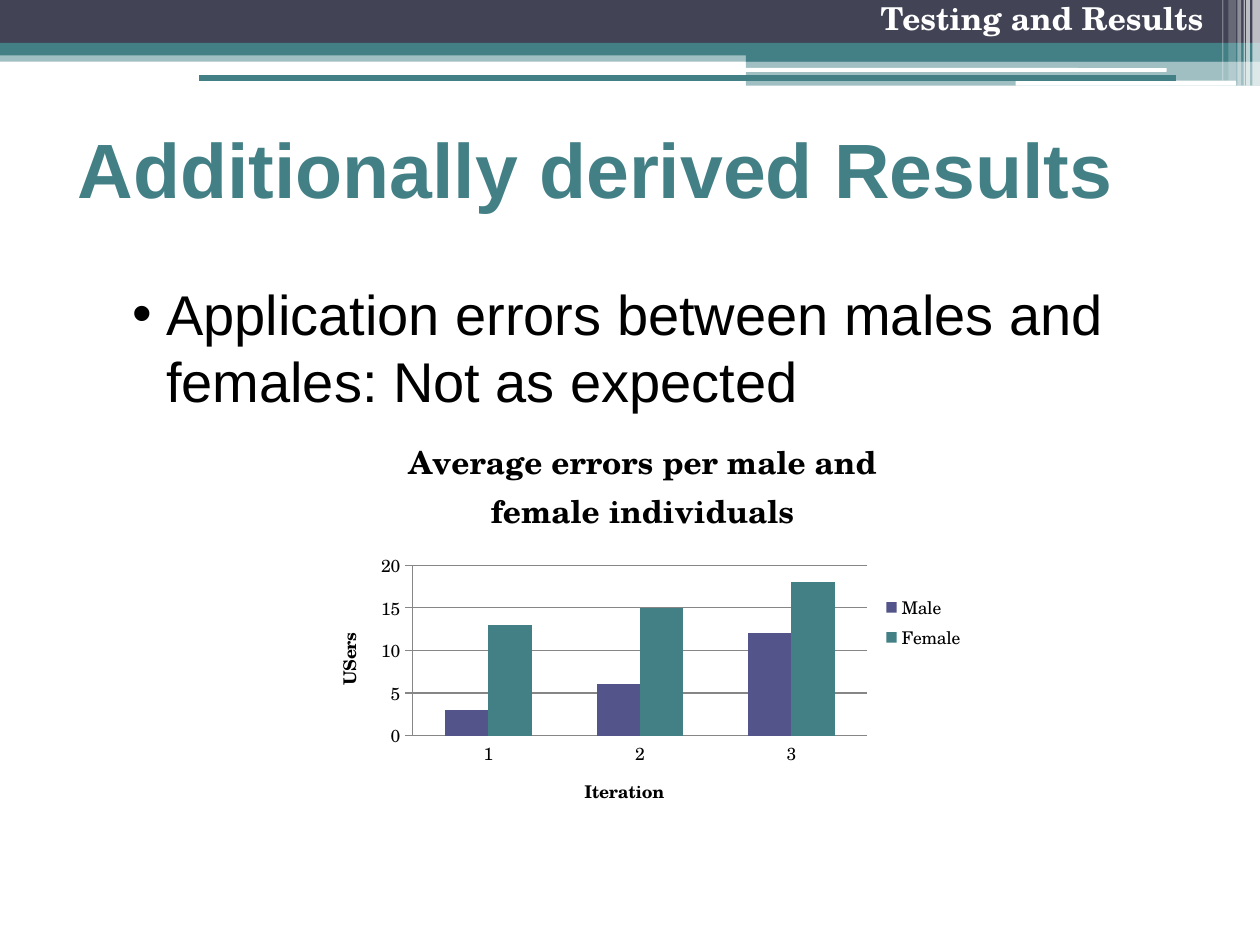
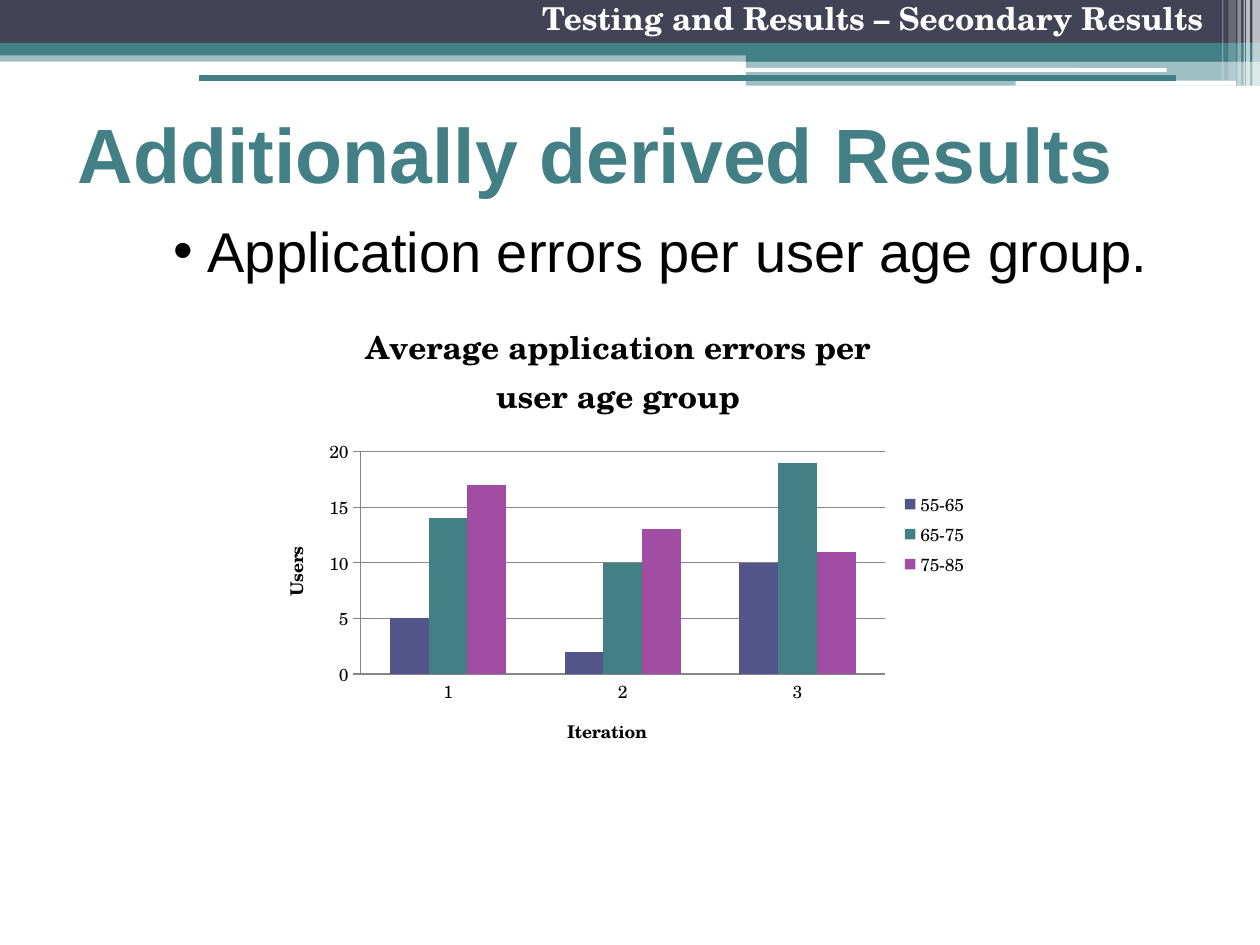
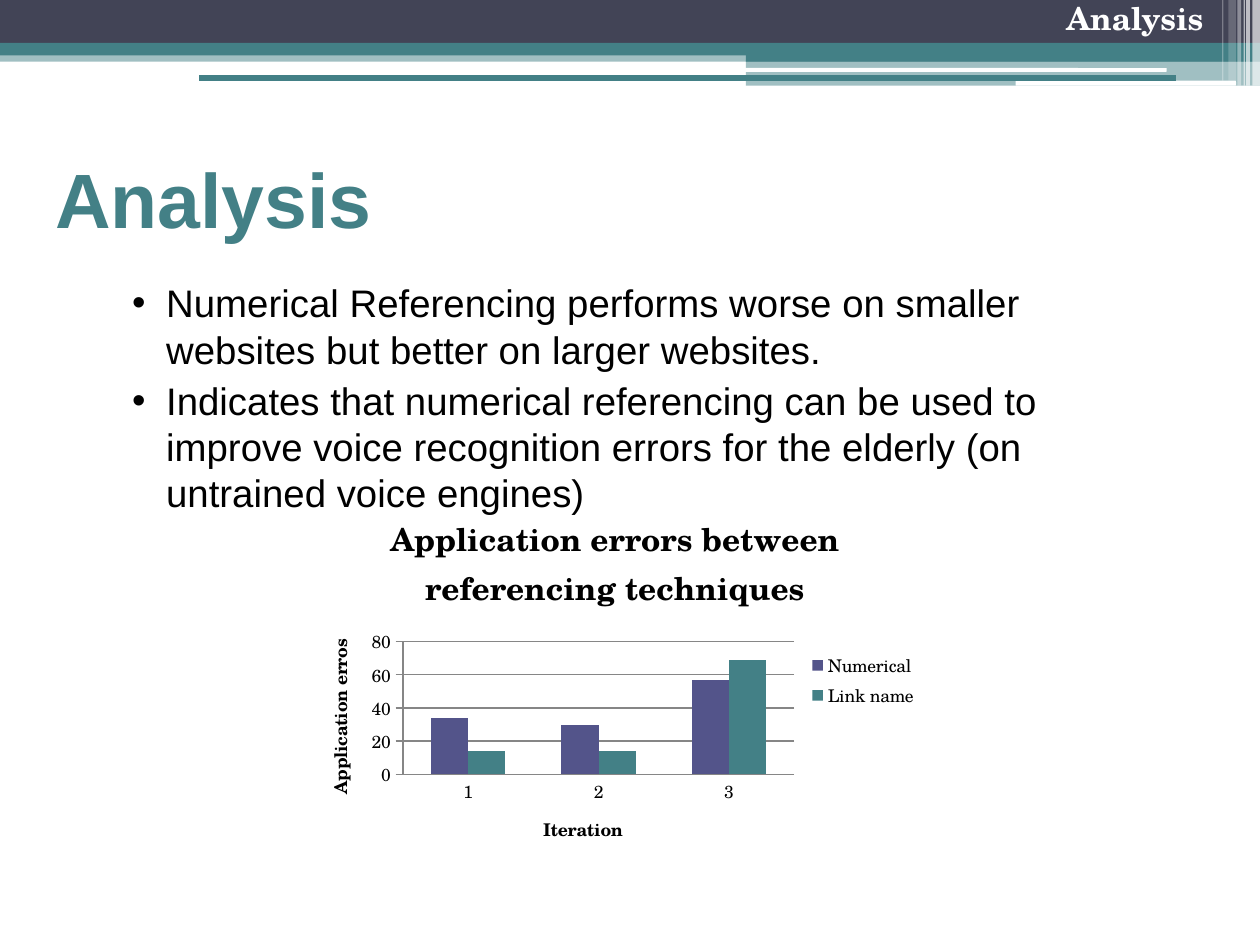
from pptx import Presentation
from pptx.chart.data import CategoryChartData
from pptx.dml.color import RGBColor
from pptx.enum.chart import XL_CHART_TYPE, XL_LEGEND_POSITION, XL_TICK_MARK
from pptx.enum.shapes import MSO_CONNECTOR, MSO_SHAPE
from pptx.enum.text import MSO_ANCHOR, PP_ALIGN
from pptx.oxml.ns import qn
from pptx.util import Inches, Pt
from lxml.etree import SubElement

COLORS = {
    "dark": "424456", "teal": "438086", "white": "FFFFFF", "black": "000000",
    "indigo": "53548A", "purple": "A04DA3", "grid": "868686",
}
SERIES = ["indigo", "teal", "purple"]
SANS, SERIF = "Arial", "TeX Gyre Schola"
FONTS = {
    "header": dict(name=SERIF, size=Pt(18), bold=True, color="white"),
    "title": dict(name=SANS, size=Pt(44), bold=True, color="teal"),
    "body": dict(name=SANS, size=Pt(32), bold=False, color="black"),
    "list": dict(name=SANS, size=Pt(21.9), bold=False, color="black"),
    "chart": dict(name=SERIF, size=Pt(10), bold=False, color="black"),
    "axis": dict(name=SERIF, size=Pt(10), bold=True, color="black"),
    "caption": dict(name=SERIF, size=Pt(18), bold=True, color="black"),
}
# Header bands: left, top, width, height, colour, opacity in percent
BANDS = [
    (0, 0.4, 10, 0.09, "teal", 50),
    (0, 0, 10, 0.34, "dark", 100),
    (0, 0.34, 10, 0.1, "teal", 100),
    (5.92, 0.39, 4.08, 0.1, "teal", 100),
    (5.92, 0.48, 4.08, 0.2, "teal", 50),
]
PILLS = [(5.91, 0.54, 3.35, 0.03), (8.06, 0.64, 1.75, 0.04)]
# Corner stripes: left, width, height, opacity in percent
STRIPES = [
    (9.94, 0.06, 0.68, 65), (9.89, 0.03, 0.68, 65), (9.87, 0.01, 0.68, 60),
    (9.82, 0.03, 0.68, 40), (9.75, 0.06, 0.64, 20), (9.7, 0.01, 0.64, 30),
]


def rgb(name):
    return RGBColor.from_string(COLORS[name])


def put(item, **values):
    for key, value in values.items():
        setattr(item, key, value)


def style(font, kind):
    for key, value in FONTS[kind].items():
        if key == "color":
            font.color.rgb = rgb(value)
        else:
            setattr(font, key, value)


class Deck:
    def __init__(self):
        self.prs = Presentation()
        put(self.prs, slide_width=Inches(10), slide_height=Inches(7.5))
        self.slide = None

    def start(self, header):
        self.slide = self.prs.slides.add_slide(self.prs.slide_layouts[6])
        for *box, color, alpha in BANDS:
            self.block(box, color, alpha)
        for box in PILLS:
            self.block(box, "white", kind=MSO_SHAPE.ROUNDED_RECTANGLE)
        for left, width, height, alpha in STRIPES:
            self.block((left, 0, width, height), "white", alpha)
        para = self.text((3.82, 0, 5.83, 0.5), [header], "header")[0]
        put(para, alignment=PP_ALIGN.RIGHT, line_spacing=0.8,
            space_before=Pt(3.6))
        self.rule(1.58, 9.33, 0.62)

    def block(self, box, color, alpha=100, kind=MSO_SHAPE.RECTANGLE):
        shape = self.slide.shapes.add_shape(kind, *map(Inches, box))
        shape.shadow.inherit = False
        shape.line.fill.background()
        shape.fill.solid()
        shape.fill.fore_color.rgb = rgb(color)
        if alpha < 100:
            tint = shape.element.spPr.find(".//" + qn("a:srgbClr"))
            SubElement(tint, qn("a:alpha"), val=str(alpha * 1000))

    def rule(self, left, right, top):
        line = self.slide.shapes.add_connector(
            MSO_CONNECTOR.STRAIGHT, *map(Inches, (left, top, right, top)))
        line.line.color.rgb = rgb("teal")
        line.line.width = Pt(3)
        SubElement(line.element.spPr, qn("a:effectLst"))

    def text(self, box, lines, kind, anchor=MSO_ANCHOR.TOP):
        shape = self.slide.shapes.add_textbox(*map(Inches, box))
        frame = shape.text_frame
        put(frame, word_wrap=True, vertical_anchor=anchor,
            text="\n".join(lines))
        for para in frame.paragraphs:
            style(para.runs[0].font, kind)
        return frame.paragraphs

    def title(self, box, words):
        self.text(box, [words], "title", MSO_ANCHOR.MIDDLE)

    def bullets(self, box, lines, kind="body"):
        for para in self.text(box, lines, kind):
            para.space_before = Pt(3)
            props = para._p.get_or_add_pPr()
            props.set("marL", str(Inches(1.22)))
            props.set("indent", str(Inches(-0.27)))
            SubElement(props, qn("a:buFont"), typeface=SANS)
            SubElement(props, qn("a:buChar"), char="\u2022")

    def label(self, holder, words, kind):
        frame = holder.text_frame
        frame.text = words
        style(frame.paragraphs[0].runs[0].font, kind)
        return frame

    def chart(self, box, caption, side, step, series):
        data = CategoryChartData()
        data.categories = ["1", "2", "3"]
        for name, values in series.items():
            data.add_series(name, values)
        chart = self.slide.shapes.add_chart(
            XL_CHART_TYPE.COLUMN_CLUSTERED, *map(Inches, box), data).chart
        style(chart.font, "chart")
        self.label(chart.chart_title, caption, "caption")
        chart.chart_title.include_in_layout = False

        # Legend and columns
        chart.has_legend = True
        put(chart.legend, position=XL_LEGEND_POSITION.RIGHT,
            include_in_layout=False)
        plot = chart.plots[0]
        put(plot, gap_width=150, overlap=0, vary_by_categories=False)
        for item, color in zip(plot.series, SERIES):
            item.format.fill.solid()
            item.format.fill.fore_color.rgb = rgb(color)

        # Axes
        across, up = chart.category_axis, chart.value_axis
        put(across, major_tick_mark=XL_TICK_MARK.NONE)
        put(up, major_tick_mark=XL_TICK_MARK.CROSS, has_major_gridlines=True,
            minimum_scale=0, maximum_scale=4 * step, major_unit=step)
        for part in (across, up, up.major_gridlines):
            part.format.line.color.rgb = rgb("grid")
            part.format.line.width = Pt(0.75)
        self.label(across.axis_title, "Iteration", "axis")
        frame = self.label(up.axis_title, side, "axis")
        frame._txBody.bodyPr.set("rot", "-5400000")


deck = Deck()

# Errors by gender
deck.start("Testing and Results")
deck.bullets((0, 2.17, 9.44, 1.16), [
    "Application errors between males and females: Not as expected"])
deck.title((0.52, 0.74, 8.76, 1.18), "Additionally derived Results")
deck.chart((2.45, 3.28, 5.3, 3.32),
           "Average errors per male and female individuals", "USers", 5,
           {"Male": (3, 6, 12), "Female": (13, 15, 18)})

# Errors by age group
deck.start("Testing and Results \u2013 Secondary Results")
deck.bullets((0.33, 1.67, 9.44, 1.16), [
    "Application errors per user age group."])
deck.chart((2.03, 2.36, 5.75, 3.76),
           "Average application errors per user age group", "Users", 5,
           {"55-65": (5, 2, 10), "65-75": (14, 10, 19),
            "75-85": (17, 13, 11)})
deck.title((0.52, 0.62, 8.76, 1.18), "Additionally derived Results")

# Analysis of referencing techniques
deck.start("Analysis")
deck.bullets((0, 2.17, 9.19, 1.72), [
    "Numerical Referencing performs worse on smaller websites but better "
    "on larger websites.",
    "Indicates that numerical referencing can be used to improve voice "
    "recognition errors for the elderly (on untrained voice engines)",
], "list")
deck.title((0.34, 0.98, 6.84, 1.18), "Analysis")
deck.chart((2.38, 3.9, 5, 3),
           "Application errors between referencing techniques",
           "Application erros", 20,
           {"Numerical": (34, 30, 57), "Link name": (14, 14, 69)})

deck.prs.save("out.pptx")
